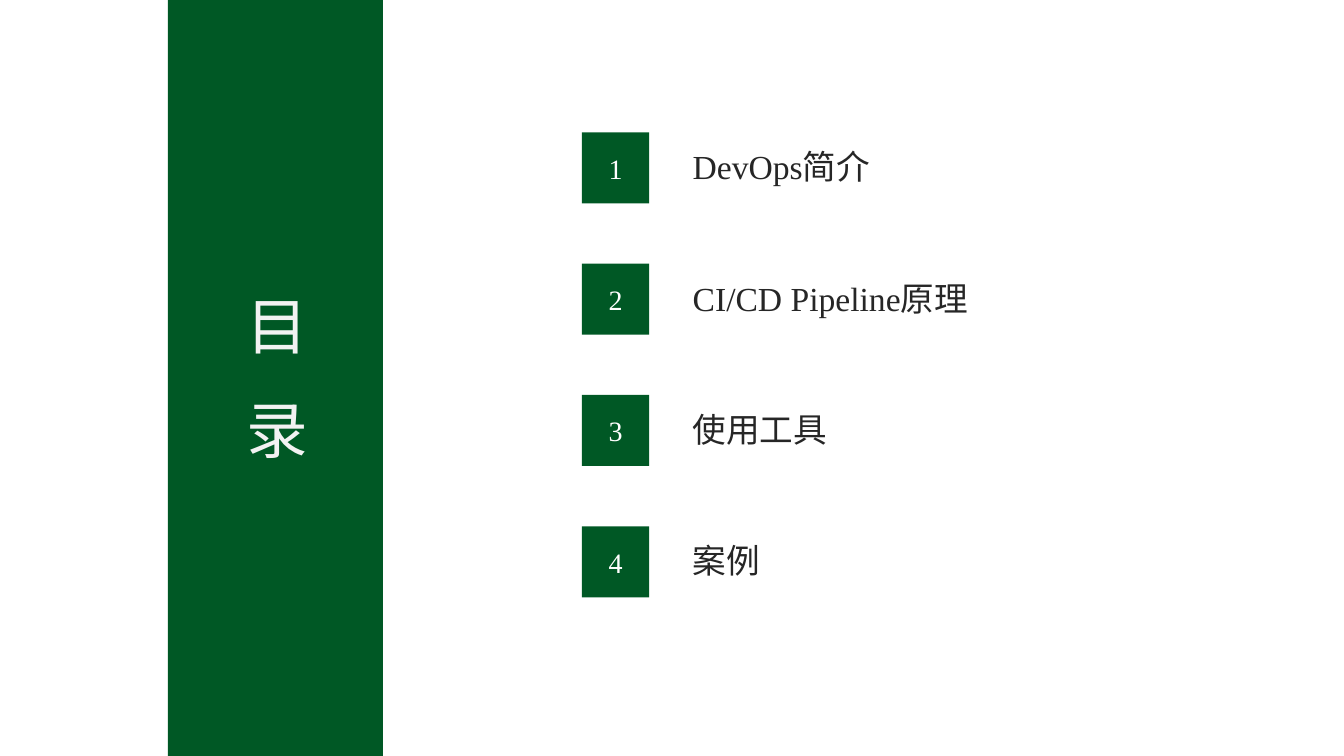
"""Build the contents slide: a green title band and four numbered topics."""
from dataclasses import dataclass

from pptx import Presentation
from pptx.dml.color import RGBColor as Rgb
from pptx.enum.shapes import MSO_SHAPE as Kind
from pptx.enum.text import MSO_ANCHOR as Anchor, MSO_AUTO_SIZE as Fit, PP_ALIGN as Align
from pptx.shapes.autoshape import Shape
from pptx.slide import Slide
from pptx.util import Emu, Inches, Pt

WIDE, HIGH = Inches(13.33), Inches(7.5)


@dataclass(frozen=True)
class Theme:
    font: str = "Times New Roman"
    green: str = "005825"
    white: str = "FFFFFF"
    pale: str = "F2F2F2"
    dark: str = "262626"
    title: int = 44
    label: int = 24
    digit: int = 20
    gap: int = 30


@dataclass(frozen=True)
class Box:
    left: float
    top: float
    width: float
    height: float

    def place(self) -> tuple[Emu, ...]:
        sides = (self.left, WIDE), (self.top, HIGH), (self.width, WIDE), (self.height, HIGH)
        return tuple(Emu(round(share * full / 100)) for share, full in sides)


@dataclass(frozen=True)
class Topic:
    text: str
    width: float


THEME = Theme()
BAND = Box(12.5, 0, 16, 100)
TITLE = Box(16.95, 38.4, 7.05, 24)
FIRST, PITCH = 17.5, 17.37
TOPICS = (
    Topic("DevOps简介", 16.4),
    Topic("CI/CD Pipeline原理", 26.2),
    Topic("使用工具", 12.2),
    Topic("案例", 27.4),
)


def write(shape: Shape, text: str, size: int, color: str, align: Align, **frame: object) -> None:
    body = shape.text_frame
    for name, value in frame.items():
        setattr(body, name, value)
    line = body.paragraphs[0]
    line.alignment = align
    run = line.add_run()
    run.text = text
    for name, value in {"name": THEME.font, "size": Pt(size), "bold": False}.items():
        setattr(run.font, name, value)
    run.font.color.rgb = Rgb.from_string(color)


def block(slide: Slide, box: Box) -> Shape:
    shape = slide.shapes.add_shape(Kind.RECTANGLE, *box.place())
    shape.shadow.inherit = False
    shape.fill.solid()
    shape.fill.fore_color.rgb = Rgb.from_string(THEME.green)
    shape.line.fill.background()
    return shape


def head(slide: Slide) -> None:
    block(slide, BAND)
    title = slide.shapes.title
    slide.shapes._spTree.append(title._element)
    for name, value in zip(("left", "top", "width", "height"), TITLE.place()):
        setattr(title, name, value)
    write(title, "目录", THEME.title, THEME.pale, Align.LEFT,
          word_wrap=False, auto_size=Fit.SHAPE_TO_FIT_TEXT, vertical_anchor=Anchor.TOP)
    title.text_frame._txBody.bodyPr.set("vert", "eaVert")
    run = title.text_frame.paragraphs[0].runs[0]
    run.font._element.set("spc", str(THEME.gap * 100))


def entry(slide: Slide, index: int, topic: Topic) -> None:
    top = FIRST + index * PITCH
    tile = block(slide, Box(43.3, top, 5, 9.4))
    write(tile, str(index + 1), THEME.digit, THEME.white, Align.CENTER,
          vertical_anchor=Anchor.MIDDLE)
    label = slide.shapes.add_textbox(*Box(50.8, top + 1.2, topic.width, 6.7).place())
    write(label, topic.text, THEME.label, THEME.dark, Align.LEFT,
          word_wrap=True, auto_size=Fit.SHAPE_TO_FIT_TEXT)


def main() -> None:
    deck = Presentation()
    deck.slide_width, deck.slide_height = WIDE, HIGH
    slide = deck.slides.add_slide(deck.slide_layouts[5])
    head(slide)
    for index, topic in enumerate(TOPICS):
        entry(slide, index, topic)
    deck.save("out.pptx")


if __name__ == "__main__":
    main()
